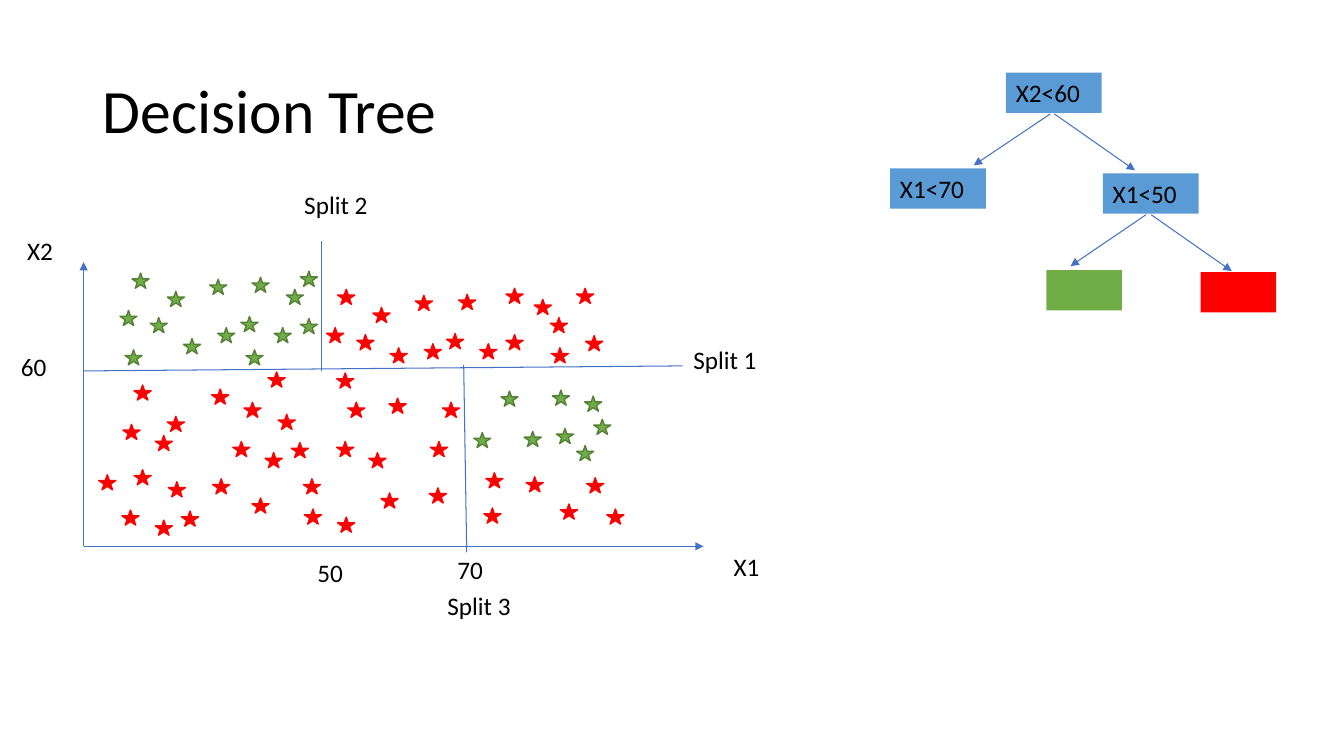
"""Build the decision tree slide: a split scatter of stars and its tree."""
import pptx
import pptx.util
import pptx.dml.color
import pptx.enum.shapes
import pptx.enum.text
import pptx.oxml
import pptx.oxml.ns

FONT = "Calibri"
BLACK, BLUE, NODE = "000000", "4472C4", "5B9BD5"
GREEN, DARK_GREEN, RED = "70AD47", "548135", "FF0000"
STAR_W, STAR_H = 0.17, 0.15
ROW_H = 0.4

TITLE = ("Decision Tree", 0.92, 0.4, 11.5, 1.45)

AXES = [(0.83, 5.42, 0.83, 2.6), (0.83, 5.42, 6.98, 5.42)]
SPLITS = [(0.83, 3.68, 6.77, 3.63), (3.19, 3.68, 3.19, 2.39), (4.6, 3.62, 4.63, 5.48)]
BRANCHES = [
    (10.42, 1.13, 9.66, 1.64), (10.46, 1.13, 11.26, 1.69),
    (11.37, 2.13, 10.62, 2.64), (11.42, 2.13, 12.22, 2.69),
]

GREEN_STARS = [
    (1.31, 2.71), (2.16, 3.25), (1.49, 3.15), (1.66, 2.89), (2.08, 2.77), (2.39, 3.14),
    (1.19, 3.08), (2.5, 2.75), (2.44, 3.47), (1.82, 3.36), (1.24, 3.47), (2.72, 3.25),
    (2.84, 2.87), (2.98, 2.69), (2.98, 3.16),
    (4.97, 3.88), (5.48, 3.87), (4.7, 4.29), (5.2, 4.28), (5.89, 4.16), (5.52, 4.25),
    (5.72, 4.42), (5.8, 3.93),
]
RED_STARS = [
    (3.35, 2.87), (4.21, 3.41), (3.54, 3.32), (3.7, 3.05), (4.12, 2.93), (4.43, 3.31),
    (3.24, 3.25), (4.55, 2.92), (3.87, 3.45), (4.76, 3.41), (5.02, 2.86), (5.02, 3.32),
    (5.81, 3.33), (5.3, 2.97), (5.46, 3.15), (5.72, 2.86), (5.47, 3.45),
    (5.82, 4.74), (4.82, 4.69), (6.02, 5.05), (5.22, 4.73), (4.8, 5.04), (5.56, 5),
    (1.22, 4.21), (1.33, 3.82), (1.66, 4.13), (1.54, 4.32), (2.1, 3.86), (2.11, 4.75),
    (2.31, 4.38), (2.42, 3.99), (2.5, 4.94), (2.63, 4.49), (2.76, 4.11), (2.89, 4.39),
    (1.21, 5.06), (1.33, 4.66), (0.98, 4.71), (1.54, 5.16), (1.67, 4.78), (1.8, 5.07),
    (3.34, 4.38), (3.45, 3.99), (3.01, 4.75), (3.66, 4.49), (2.66, 3.69), (3.86, 3.95),
    (4.27, 4.38), (4.39, 3.99), (3.02, 5.05), (3.34, 3.7), (4.26, 4.84), (3.78, 4.89),
    (3.35, 5.13),
]

LABELS = [
    ("X1", 7.18, 5.42, 0.89), ("X2", 0.17, 2.29, 0.49),
    ("Split 1", 6.78, 3.37, 1), ("Split 2", 2.92, 1.83, 1), ("Split 3", 4.34, 5.81, 1),
    ("60", 0.11, 3.44, 0.69), ("50", 3.05, 5.48, 0.61), ("70", 4.44, 5.45, 0.61),
]
NODES = [("X2<60", 9.98, 0.72), ("X1<50", 10.94, 1.72), ("X1<70", 8.83, 1.67)]
LEAVES = [(GREEN, 10.38, 2.68), (RED, 11.91, 2.7)]

SHAPE = pptx.enum.shapes.MSO_SHAPE


def color(value):
    return pptx.dml.color.RGBColor.from_string(value)


def inches(*values):
    return [pptx.util.Cm(v * 2.54) for v in values]


def write(tf, text, size):
    tf.word_wrap = True
    p = tf.paragraphs[0]
    p.alignment = pptx.enum.text.PP_ALIGN.LEFT
    r = p.add_run()
    r.text = text
    r.font.name = FONT
    r.font.size = pptx.util.Pt(size)
    r.font.color.rgb = color(BLACK)
    return p


def add_line(s, ends, arrow=False):
    line = s.shapes.add_connector(pptx.enum.shapes.MSO_CONNECTOR.STRAIGHT, *inches(*ends))
    line.line.color.rgb = color(BLUE)
    line.line.width = pptx.util.Pt(0.75)
    if arrow:
        ln = line.line._get_or_add_ln()
        ln.append(pptx.oxml.parse_xml(
            f'<a:tailEnd {pptx.oxml.ns.nsdecls("a")} type="triangle"/>'))
    line._element.spPr.append(pptx.oxml.parse_xml(
        f'<a:effectLst {pptx.oxml.ns.nsdecls("a")}/>'))


def add_filled(s, kind, box, fill, outline=None):
    sp = s.shapes.add_shape(kind, *inches(*box))
    sp.shadow.inherit = False
    sp.fill.solid()
    sp.fill.fore_color.rgb = color(fill)
    if outline:
        sp.line.color.rgb = color(outline)
        sp.line.width = pptx.util.Pt(1)
    else:
        sp.line.fill.background()
    return sp


def main():
    prs = pptx.Presentation()
    prs.slide_width, prs.slide_height = inches(13.333, 7.5)
    s = prs.slides.add_slide(prs.slide_layouts[5])

    text, *box = TITLE
    title = s.shapes.title
    title.left, title.top, title.width, title.height = inches(*box)
    title.text_frame.vertical_anchor = pptx.enum.text.MSO_ANCHOR.MIDDLE
    write(title.text_frame, text, 44).line_spacing = 0.9

    for ends in AXES:
        add_line(s, ends, arrow=True)
    for stars, fill, outline in ((GREEN_STARS, GREEN, DARK_GREEN), (RED_STARS, RED, RED)):
        for x, y in stars:
            add_filled(s, SHAPE.STAR_5_POINT, (x, y, STAR_W, STAR_H), fill, outline)
    for ends in SPLITS:
        add_line(s, ends)
    for text, x, y, w in LABELS:
        label = s.shapes.add_textbox(*inches(x, y, w, ROW_H))
        write(label.text_frame, text, 18)

    for text, x, y in NODES:
        node = add_filled(s, SHAPE.RECTANGLE, (x, y, 0.95, ROW_H), NODE)
        node.text_frame.vertical_anchor = pptx.enum.text.MSO_ANCHOR.TOP
        write(node.text_frame, text, 18)
    for ends in BRANCHES:
        add_line(s, ends, arrow=True)
    for fill, x, y in LEAVES:
        add_filled(s, SHAPE.RECTANGLE, (x, y, 0.75, ROW_H), fill)

    prs.save("out.pptx")


if __name__ == "__main__":
    main()
